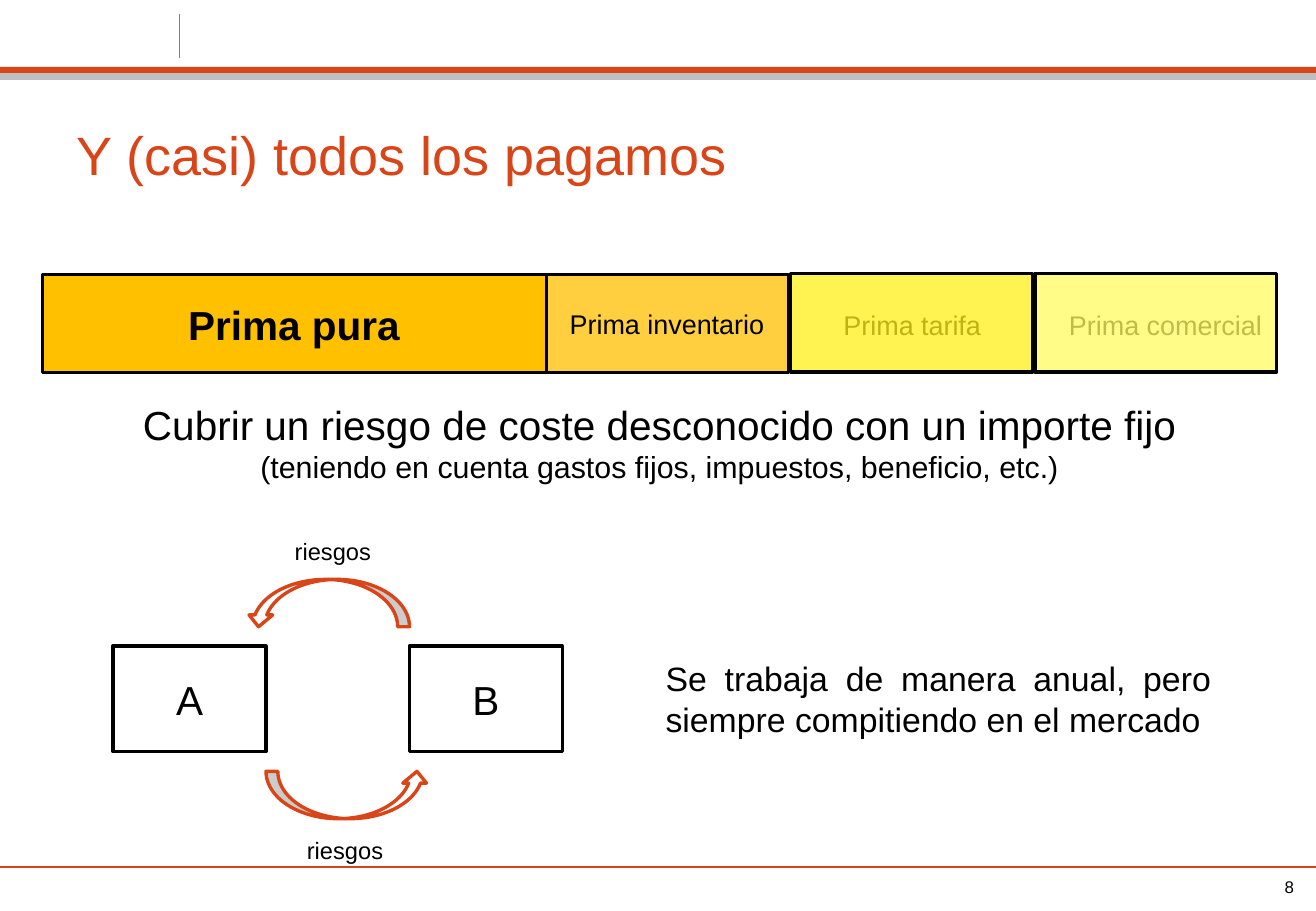
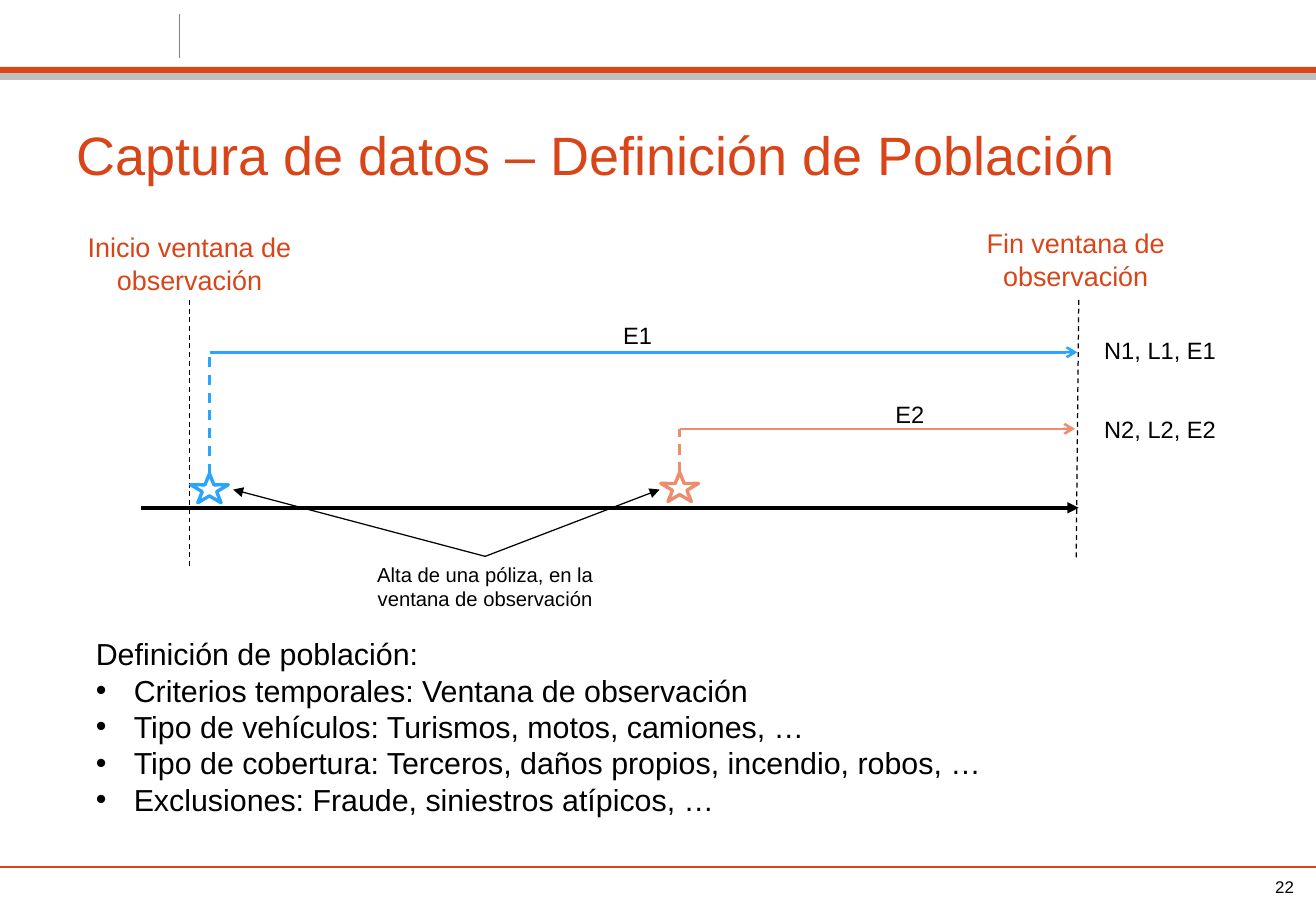
from lxml import etree
from pptx import Presentation
from pptx.dml.color import RGBColor
from pptx.enum.dml import MSO_LINE
from pptx.enum.shapes import MSO_CONNECTOR, MSO_SHAPE
from pptx.enum.text import MSO_ANCHOR, MSO_AUTO_SIZE, PP_ALIGN
from pptx.oxml.ns import qn
from pptx.util import Pt

RECTANGLE, PROCESS = MSO_SHAPE.RECTANGLE, MSO_SHAPE.FLOWCHART_PROCESS
STAR, CURVED_ARROW = MSO_SHAPE.STAR_5_POINT, MSO_SHAPE.CURVED_UP_ARROW
STRAIGHT, DASH = MSO_CONNECTOR.STRAIGHT, MSO_LINE.DASH
LEFT, CENTER, RIGHT, JUSTIFY = PP_ALIGN.LEFT, PP_ALIGN.CENTER, PP_ALIGN.RIGHT, PP_ALIGN.JUSTIFY
TOP, MIDDLE = MSO_ANCHOR.TOP, MSO_ANCHOR.MIDDLE
TITLE_ONLY = 5
TOP_SIDE = 0


class Theme:
    font = "Arial"
    black, white = RGBColor(0, 0, 0), RGBColor(255, 255, 255)
    accent, silver = RGBColor(0xD8, 0x45, 0x19), RGBColor(0xBF, 0xBF, 0xBF)
    divider = RGBColor(0x7F, 0x7F, 0x7F)
    amber, yellow = RGBColor(0xFF, 0xC0, 0x00), RGBColor(0xFF, 0xEF, 0x19)
    lemon = RGBColor(0xFF, 0xFD, 0x61)
    blue, coral = RGBColor(0x2B, 0xA4, 0xFF), RGBColor(0xEE, 0x8C, 0x6E)
    title, heading, statement, body = 32, 24, 20, 18
    caption, label, note, number = 16, 14, 12, 10
    outline = 2


def add_box(page, frame, lines=(), preset=None, fill=None, opacity=100, line=None, weight=Theme.outline,
            size=Theme.label, color=Theme.black, bold=False, align=CENTER, anchor=TOP):
    """Add a preset shape, or a text box when there is no preset; frame is left, top, width, height."""
    place = [Pt(value) for value in frame]
    if preset is None:
        box = page.shapes.add_textbox(*place)
    else:
        box = page.shapes.add_shape(preset, *place)
        box.shadow.inherit = False
        box.fill.solid()
        box.fill.fore_color.rgb = fill
        if opacity < 100:
            tint = box.element.spPr.find(qn("a:solidFill"))[0]
            etree.SubElement(tint, qn("a:alpha"), val=str(opacity * 1000))
        if line is None:
            box.line.fill.background()
        else:
            box.line.color.rgb = line
            box.line.width = Pt(weight)
    text = box.text_frame
    text.word_wrap = True
    text.vertical_anchor = anchor
    if lines:
        text.text = "\n".join(lines)
    for para in text.paragraphs:
        para.alignment = align
        for span in para.runs:
            for name, value in {"name": Theme.font, "size": Pt(size), "bold": bold}.items():
                setattr(span.font, name, value)
            span.font.color.rgb = color
    return box


def add_line(page, start, end, color=Theme.black, weight=0.75, dash=None, arrowhead=None):
    connector = page.shapes.add_connector(STRAIGHT, *[Pt(value) for value in (*start, *end)])
    connector.line.color.rgb = color
    connector.line.width = Pt(weight)
    if dash:
        connector.line.dash_style = dash
    properties = connector.element.spPr
    if arrowhead:
        etree.SubElement(properties.find(qn("a:ln")), qn("a:tailEnd"), type=arrowhead)
    etree.SubElement(properties, qn("a:effectLst"))
    return connector


deck = Presentation()
page_width = 780
deck.slide_width, deck.slide_height = Pt(page_width), Pt(540)

# Shared bands, title and page number
pages = []
for title, number in [("Y (casi) todos los pagamos", "8"),
                      ("Captura de datos – Definición de Población", "22")]:
    page = deck.slides.add_slide(deck.slide_layouts[TITLE_ONLY])
    add_box(page, (0, 43.2, page_width, 3.6), preset=RECTANGLE, fill=Theme.silver,
            line=Theme.silver, weight=0.75)
    add_box(page, (0, 39.6, page_width, 3.6), preset=RECTANGLE, fill=Theme.accent)
    add_line(page, (0, 514), (page_width, 514), Theme.accent)
    add_line(page, (106.5, 8.5), (106.5, 34.5), Theme.divider, 0.5)
    add_box(page, (690.5, 516.2, 83.5, 23), [number], size=Theme.number, align=RIGHT)

    heading = page.shapes.title
    place = {"left": 38.2, "top": 54.7, "width": 697.7, "height": 73.4}
    for name, value in place.items():
        setattr(heading, name, Pt(value))
    frame = heading.text_frame
    frame.text = title
    text_format = {"word_wrap": True, "auto_size": MSO_AUTO_SIZE.NONE, "vertical_anchor": MIDDLE}
    for name, value in text_format.items():
        setattr(frame, name, value)
    para = frame.paragraphs[0]
    para.alignment = LEFT
    for name, value in {"name": Theme.font, "size": Pt(Theme.title)}.items():
        setattr(para.font, name, value)
    para.font.color.rgb = Theme.accent
    pages.append(page)
premium_page, population_page = pages

# Premium bar: the last two labels lie under their translucent segments
premium_captions = {
    "Prima comercial": (605.8, 179.3, 170, 26.6),
    "Prima inventario": (296, 178.6, 198.7, 26.6),
    "Prima tarifa": (441.4, 179.3, 198.7, 26.6),
}
premium_segments = [
    ("Prima comercial", (613.4, 162.1, 143.3, 58.3), Theme.lemon, True),
    ("Prima tarifa", (468.7, 162.1, 143.3, 58.3), Theme.yellow, True),
    ("Prima inventario", (324, 162.6, 143.3, 58.3), Theme.amber, False),
]
for caption, segment, fill, covered in premium_segments:
    if covered:
        add_box(premium_page, premium_captions[caption], [caption], size=Theme.caption)
    add_box(premium_page, segment, preset=PROCESS, fill=fill, opacity=75, line=Theme.black)
    if not covered:
        add_box(premium_page, premium_captions[caption], [caption], size=Theme.caption)
add_box(premium_page, (25.2, 162.6, 298.8, 58.3), preset=PROCESS, fill=Theme.amber, line=Theme.black)
add_box(premium_page, (74.9, 174.2, 198.7, 36), ["Prima pura"], size=Theme.heading, bold=True)

purpose = add_box(premium_page, (25.2, 233.3, 731.5, 58.3),
                  ["Cubrir un riesgo de coste desconocido con un importe fijo",
                   "(teniendo en cuenta gastos fijos, impuestos, beneficio, etc.)"], size=Theme.heading)
purpose.text_frame.paragraphs[1].runs[0].font.size = Pt(Theme.body)
add_box(premium_page, (387.4, 386.6, 337.7, 55.4),
        ["Se trabaja de manera anual, pero siempre compitiendo en el mercado"],
        size=Theme.statement, align=JUSTIFY)

# Exchange of risks
for party, left in [("A", 67), ("B", 242.6)]:
    add_box(premium_page, (left, 383, 90.7, 62.6), [party], RECTANGLE, Theme.white,
            line=Theme.black, size=Theme.heading, anchor=MIDDLE)
for arrow_left, arrow_top, rotation, label_left, label_top in [
        (157.7, 457.2, 0, 154.8, 491.8), (146.2, 343.4, 180, 147.6, 314.6)]:
    arrow = add_box(premium_page, (arrow_left, arrow_top, 96.5, 28.1), preset=CURVED_ARROW,
                    fill=Theme.white, line=Theme.accent)
    arrow.rotation = rotation
    add_box(premium_page, (label_left, label_top, 99.4, 24.5), ["riesgos"])

# Observation window
add_line(population_page, (83.5, 301), (639.4, 301), weight=2.25, arrowhead="triangle")
for caption, frame, start, end in [
        ("Inicio ventana de observación", (18, 133.2, 188.6, 46), (112.3, 177.8), (112.3, 337)),
        ("Fin ventana de observación", (540, 131, 195.1, 46), (639.4, 177.8), (637.9, 331.2))]:
    add_line(population_page, start, end, dash=DASH)
    add_box(population_page, frame, [caption], size=Theme.caption, color=Theme.accent)

# Policies: star at the start, exposure up to the end of the window
policy_note = add_box(population_page, (213.8, 329.8, 147.6, 36),
                      ["Alta de una póliza, en la ventana de observación"], size=Theme.note)
policies = [
    ("1", Theme.blue, 113, 280.8, 208.8, 638.6, (352.8, 186.5), (138.2, 290.2)),
    ("2", Theme.coral, 391.7, 280, 254.2, 637.2, (514.1, 233.3), (391, 290.2)),
]
for index, color, left, top, level, end, (label_left, label_top), pointer in policies:
    star = add_box(population_page, (left, top, 22.4, 17.3), preset=STAR, fill=Theme.white, line=color)
    middle = left + 11.2
    rise = add_line(population_page, (middle, top), (middle, level), color, 1.5, DASH)
    rise.begin_connect(star, TOP_SIDE)
    add_line(population_page, (middle, level), (end, level), color, 1.5, arrowhead="arrow")
    callout = add_line(population_page, (287.6, 329.8), pointer, arrowhead="triangle")
    callout.begin_connect(policy_note, TOP_SIDE)
    add_box(population_page, (label_left, label_top, 50.4, 24.5), [f"E{index}"])
    add_box(population_page, (643, label_top + 9.3, 89.3, 24.5), [f"N{index}, L{index}, E{index}"])

# Population criteria
criteria = add_box(population_page, (49.7, 373, 639.4, 116.6),
                   ["Definición de población:",
                    "Criterios temporales: Ventana de observación",
                    "Tipo de vehículos: Turismos, motos, camiones, …",
                    "Tipo de cobertura: Terceros, daños propios, incendio, robos, …",
                    "Exclusiones: Fraude, siniestros atípicos, …"], size=Theme.body, align=LEFT)
indent = Pt(22.5)
for para in criteria.text_frame.paragraphs[1:]:
    properties = para._p.get_or_add_pPr()
    for name, value in {"marL": indent, "indent": -indent}.items():
        properties.set(name, str(int(value)))
    etree.SubElement(properties, qn("a:buFont"), typeface=Theme.font)
    etree.SubElement(properties, qn("a:buChar"), char="•")

deck.save("out.pptx")
